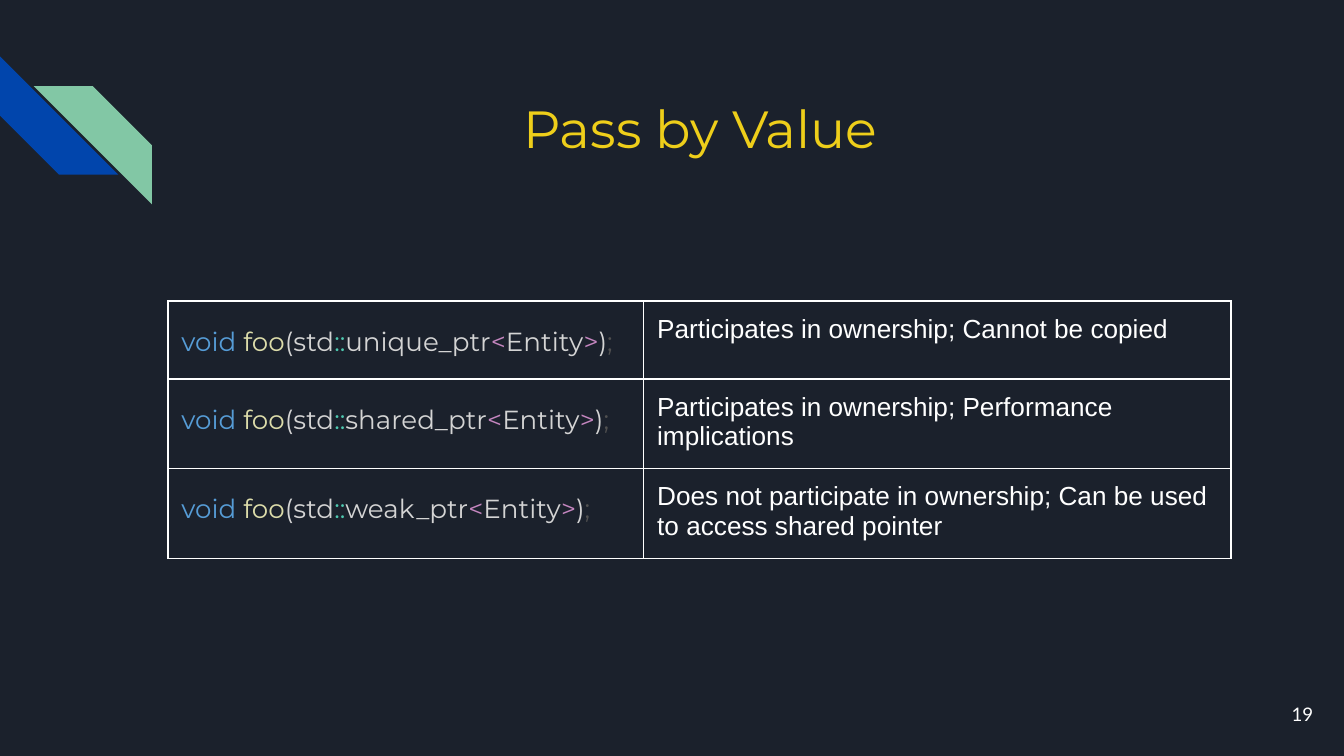
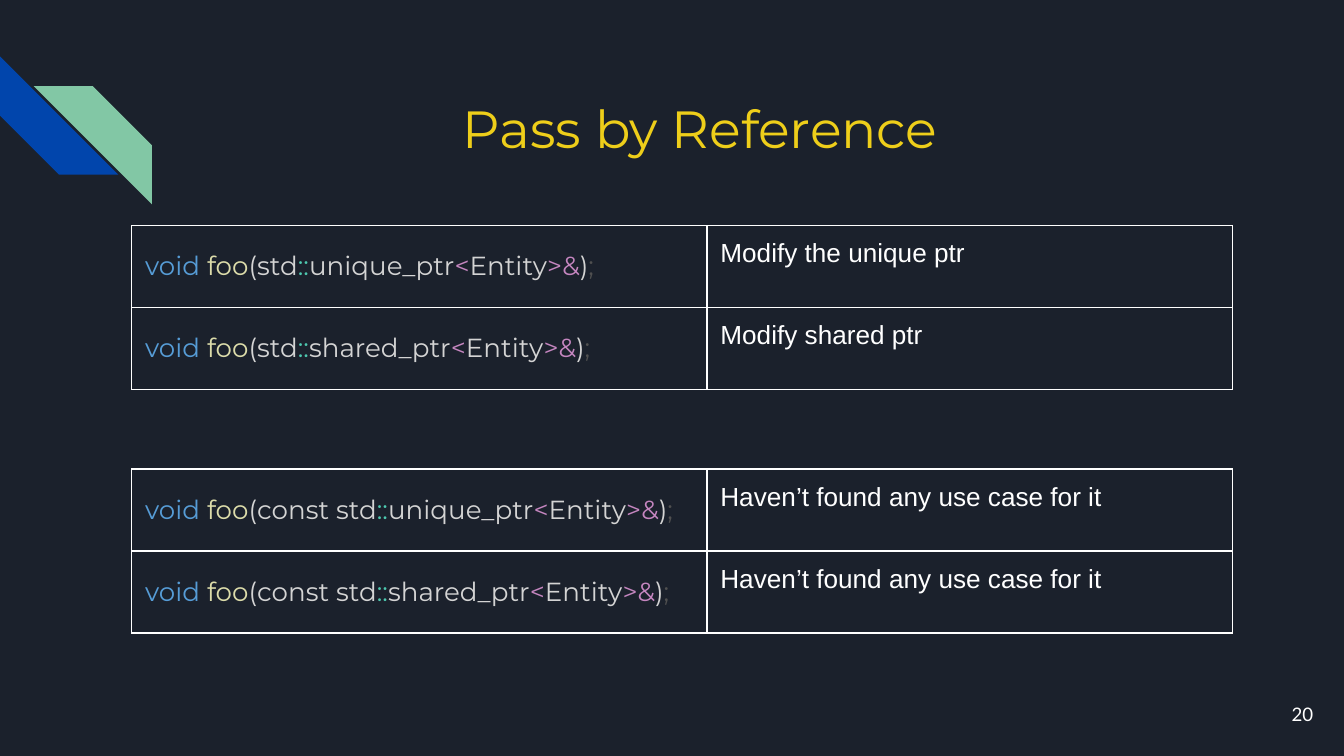
from pptx import Presentation
from pptx.dml.color import RGBColor
from pptx.enum.shapes import MSO_SHAPE as SHAPE
from pptx.enum.text import MSO_ANCHOR as ANCHOR, PP_ALIGN as ALIGN
from pptx.oxml.ns import qn
from pptx.util import Inches, Pt
from lxml.etree import SubElement

COLORS = {
    "background": "1B212C", "blue": "0145AC", "green": "82C7A5",
    "title": "EECE1A", "white": "FFFFFF",
    "keyword": "569CD6", "function": "DCDCAA", "plain": "D4D4D4",
    "scope": "4EC9B0", "operator": "C586C0", "semicolon": "505050",
}
INSET = Inches(0.1)
FRAME_SIDE = Inches(3.28)  # nominal frame; columns and rows set the real size


def rgb(name):
    return RGBColor.from_string(COLORS[name])


def style_run(r, font, size, color):
    r.font.name = font
    r.font.size = Pt(size)
    r.font.color.rgb = rgb(color)


def set_insets(part):
    part.margin_left = part.margin_right = INSET
    part.margin_top = part.margin_bottom = INSET


def add_label(s, box, text, font, size, color, align, anchor=ANCHOR.TOP):
    tf = s.shapes.add_textbox(*map(Inches, box)).text_frame
    tf.word_wrap = True
    tf.vertical_anchor = anchor
    set_insets(tf)
    tf.text = text
    p = tf.paragraphs[0]
    p.alignment = align
    style_run(p.runs[0], font, size, color)


def add_stripes(s, left, top):
    """Two diagonal stripes that meet along their slanted edges."""
    side = Inches(0.88)
    group = s.shapes.add_group_shape().shapes
    for dx, dy, color in ((0, 0, "blue"), (0.25, 0.22, "green")):
        sp = group.add_shape(SHAPE.DIAGONAL_STRIPE, Inches(left + dx),
                             Inches(top + dy), side, side)
        sp.shadow.inherit = False
        sp.fill.solid()
        sp.fill.fore_color.rgb = rgb(color)
        sp.line.fill.background()
        if color == "blue":
            sp.rotation = 270
        else:
            sp.element.spPr.find(qn("a:xfrm")).set("flipH", "1")


def add_base_slide(prs, title, number):
    s = prs.slides.add_slide(prs.slide_layouts[6])
    s.background.fill.solid()
    s.background.fill.fore_color.rgb = rgb("background")
    add_stripes(s, 0, 0.42)
    add_label(s, (1.36, 0.62, 7.7, 0.73), title, "Montserrat", 28, "title",
              ALIGN.CENTER)
    add_label(s, (9.27, 5.1, 0.6, 0.43), str(number), "Lato", 10, "white",
              ALIGN.RIGHT, ANCHOR.MIDDLE)
    return s


def set_borders(cell):
    tcPr = cell._tc.get_or_add_tcPr()
    for side in ("a:lnL", "a:lnR", "a:lnT", "a:lnB"):
        ln = SubElement(tcPr, qn(side), w=str(Pt(0.75)))
        fill = SubElement(ln, qn("a:solidFill"))
        SubElement(fill, qn("a:srgbClr"), val=COLORS["white"])


def write_signature(p, pointer, const, reference):
    """Syntax-coloured declaration of foo taking a smart pointer."""
    tokens = (
        ("void ", "keyword"), ("foo", "function"),
        ("(const std" if const else "(std", "plain"),
        ("::", "scope"), (pointer, "plain"), ("<", "operator"),
        ("Entity", "plain"), (">&" if reference else ">", "operator"),
        (")", "plain"), (";", "semicolon"),
    )
    p.line_spacing = 1.36
    for text, color in tokens:
        r = p.add_run()
        r.text = text
        style_run(r, "Montserrat", 14, color)


def add_pointer_table(s, left, top, widths, heights, rows,
                      const=False, reference=False):
    frame = s.shapes.add_table(len(rows), 2, Inches(left), Inches(top),
                               FRAME_SIDE, FRAME_SIDE)
    table = frame.table
    table.first_row = table.horz_banding = False
    for column, width in zip(table.columns, widths):
        column.width = Inches(width)
    for row, height, (pointer, remark) in zip(table.rows, heights, rows):
        row.height = Inches(height)
        for cell in row.cells:
            set_borders(cell)
            cell.fill.background()
            set_insets(cell)
        code, note = row.cells
        write_signature(code.text_frame.paragraphs[0], pointer, const,
                        reference)
        note.text_frame.text = remark
        style_run(note.text_frame.paragraphs[0].runs[0], "Arial", 14, "white")
    # Column and row changes resize the frame, so restore it last
    frame.width = frame.height = FRAME_SIDE


def add_value_slide(prs):
    s = add_base_slide(prs, "Pass by Value", 19)
    add_pointer_table(s, 1.25, 2.24, (3.54, 4.37), (0.58, 0.61, 0.61), (
        ("unique_ptr", "Participates in ownership; Cannot be copied"),
        ("shared_ptr", "Participates in ownership; Performance implications"),
        ("weak_ptr", "Does not participate in ownership; "
                     "Can be used to access shared pointer"),
    ))


def add_reference_slide(prs):
    s = add_base_slide(prs, "Pass by Reference", 20)
    unused = "Haven’t found any use case for it"
    tables = (
        (1.68, False, ("Modify the unique ptr", "Modify shared ptr")),
        (3.49, True, (unused, unused)),
    )
    for top, const, remarks in tables:
        rows = list(zip(("unique_ptr", "shared_ptr"), remarks))
        add_pointer_table(s, 0.98, top, (4.28, 3.91), (0.61, 0.61), rows,
                          const, reference=True)


def main():
    prs = Presentation()
    prs.slide_width = Inches(10)
    prs.slide_height = Inches(10 * 9 / 16)
    add_value_slide(prs)
    add_reference_slide(prs)
    prs.save("out.pptx")


if __name__ == "__main__":
    main()
